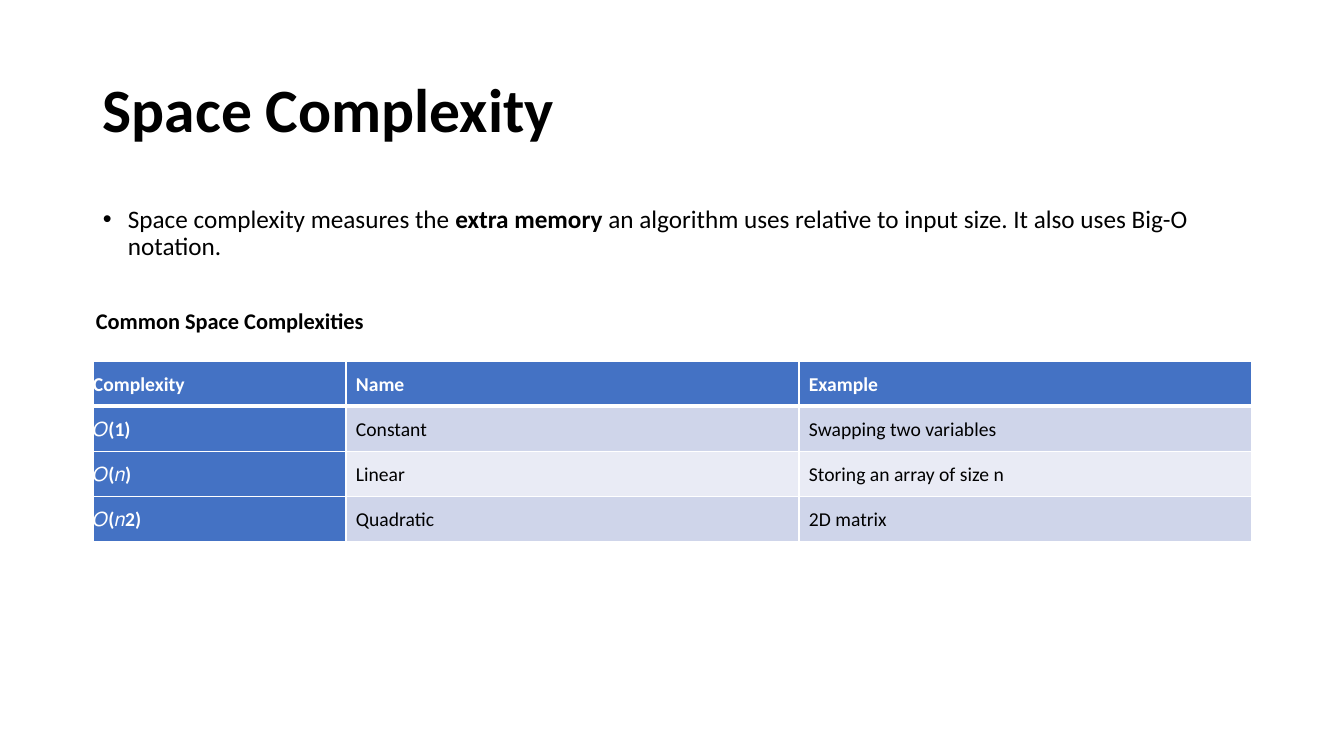
from lxml import etree
from pptx import Presentation, util as u
from pptx.dml import color
from pptx.enum import text
from pptx.oxml import ns

SCALE = 914400 / 100.8  # EMU per px
BLACK, WHITE, BLUE = "000000", "FFFFFF", "4472C4"
BANDS = ["CFD5EA", "E9EBF5"]


def px(length):
    return u.Emu(round(length * SCALE))


def write(frame, runs, size, ink=BLACK, wrap=True, anchor=text.MSO_ANCHOR.MIDDLE,
          line=1.0, before=0, after=0):
    """Fill a text frame with one paragraph of (wording, bold) runs."""
    frame.word_wrap = wrap
    frame.vertical_anchor = anchor
    paragraph = frame.paragraphs[0]
    paragraph.line_spacing = line
    paragraph.space_before, paragraph.space_after = u.Pt(before), u.Pt(after)
    for wording, bold in runs:
        run = paragraph.add_run()
        run.text = wording
        run.font.name, run.font.size, run.font.bold = "Calibri", u.Pt(size), bold
        run.font.color.rgb = color.RGBColor.from_string(ink)
    return paragraph


presentation = Presentation()
presentation.slide_width, presentation.slide_height = px(1344), px(756)
slide = presentation.slides.add_slide(presentation.slide_layouts[6])

# Title
title = slide.shapes.add_textbox(px(93), px(40), px(1159), px(146))
write(title.text_frame, [("Space Complexity", True)], 44, line=0.9)

# Bulleted definition
body = slide.shapes.add_textbox(px(93), px(202), px(1159), px(480))
definition = write(body.text_frame, [
    ("Space complexity measures the ", False),
    ("extra memory", True),
    (" an algorithm uses relative to input size. It also uses Big-O notation.", False),
], 18, anchor=text.MSO_ANCHOR.TOP, line=0.9, before=10)
properties = definition._p.get_or_add_pPr()
properties.set("marL", str(px(25)))
properties.set("indent", str(-px(25)))
etree.SubElement(properties, ns.qn("a:buFont"), typeface="Arial")
etree.SubElement(properties, ns.qn("a:buChar"), char="•")

# Complexity table
rows = [
    ["Complexity", "Name", "Example"],
    ["𝑂(1)", "Constant", "Swapping two variables"],
    ["𝑂(𝑛)", "Linear", "Storing an array of size n"],
    ["𝑂(𝑛2)", "Quadratic", "2D matrix"],
]
table = slide.shapes.add_table(4, 3, px(93), px(361), px(1159), px(180)).table
for column, width in zip(table.columns, [253, 453, 453]):
    column.width = px(width)

for r, row in enumerate(rows):
    table.rows[r].height = px(45)
    for c, wording in enumerate(row):
        cell = table.cell(r, c)
        heading = r == 0 or c == 0
        cell.margin_left = px(10 if c else 0)
        cell.margin_right = cell.margin_top = cell.margin_bottom = px(10)
        write(cell.text_frame, [(wording, heading)], 14, WHITE if heading else BLACK,
              line=1.07, after=8)
        cell.vertical_anchor = text.MSO_ANCHOR.MIDDLE

        # White borders, thicker under the header row
        cell_properties = cell._tc.get_or_add_tcPr()
        for side in ["lnL", "lnR", "lnT", "lnB"]:
            thick = (r, side) in [(0, "lnB"), (1, "lnT")]
            border = etree.SubElement(cell_properties, ns.qn("a:" + side),
                                      w=str(u.Pt(3 if thick else 1)))
            paint = etree.SubElement(border, ns.qn("a:solidFill"))
            etree.SubElement(paint, ns.qn("a:srgbClr"), val=WHITE)
        cell.fill.solid()
        cell.fill.fore_color.rgb = color.RGBColor.from_string(
            BLUE if heading else BANDS[(r - 1) % 2])

# Table caption
caption = slide.shapes.add_textbox(px(86), px(302), px(291), px(37))
write(caption.text_frame, [("Common Space Complexities", True)], 16, wrap=False)
caption.text_frame.auto_size = text.MSO_AUTO_SIZE.SHAPE_TO_FIT_TEXT

presentation.save("out.pptx")
